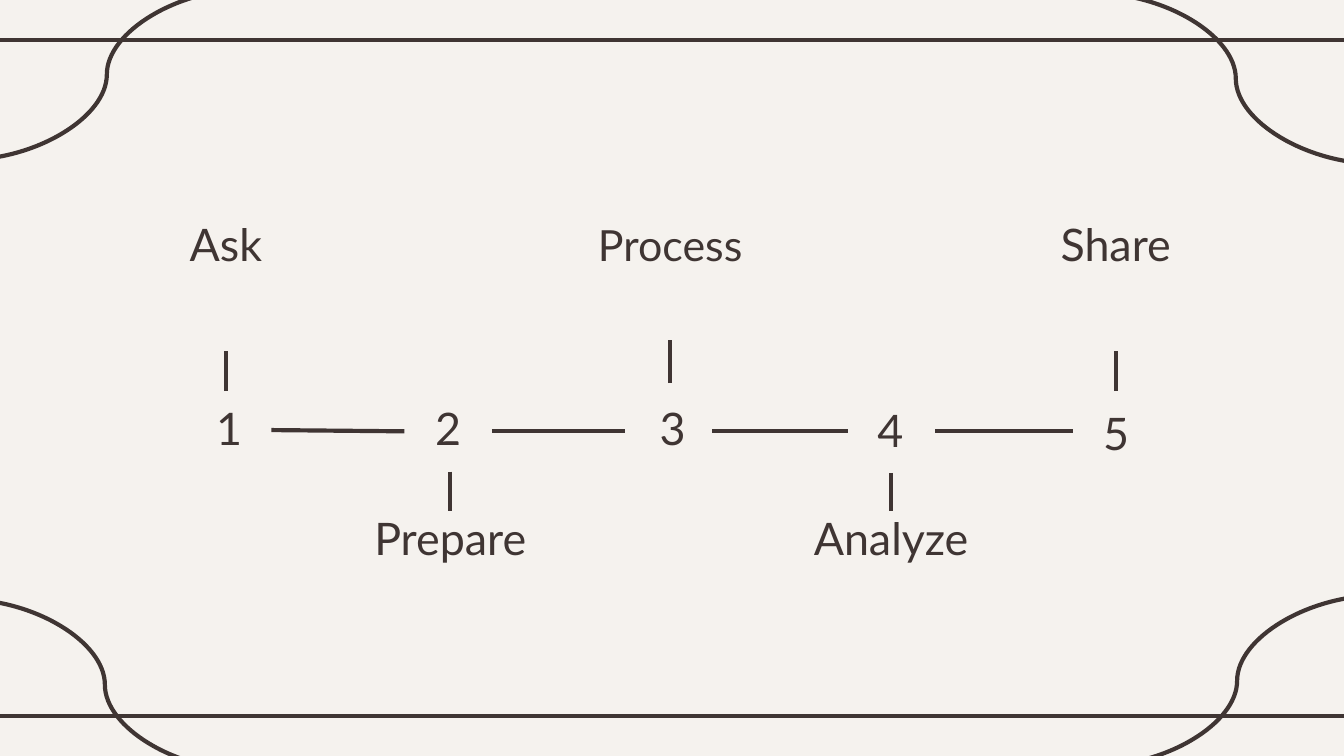
from lxml import etree
from pptx import Presentation
from pptx.dml.color import RGBColor
from pptx.enum.shapes import MSO_CONNECTOR
from pptx.enum.text import MSO_ANCHOR, PP_ALIGN
from pptx.oxml.ns import qn
from pptx.util import Pt

LINE, CURVE = MSO_CONNECTOR.STRAIGHT, MSO_CONNECTOR.CURVE
TOP, MIDDLE = MSO_ANCHOR.TOP, MSO_ANCHOR.MIDDLE
CENTER = PP_ALIGN.CENTER

COLORS = {"paper": "F5F2EE", "ink": "3F3533"}
FONT = "Lato"
WIDE, HIGH = 720, 405

RULES = [21.6, 383.8]
CURVES = [
    (-19.4, 321.1, 131.8, 412.6),
    (586.1, -3.6, 738, 87.8),
    (738.7, 319, 586.8, 410.4),
    (133.2, -5.8, -18.7, 85.7),
]
# number, its centre and top, tick x, start and end, label, box top, width, height, size, anchor
STEPS = [
    ("1", 122.8, 220.3, 121, 209.5, 187.9, "Ask", 115.9, 129, 23, 24, TOP),
    ("2", 240.1, 220.3, 241.2, 252.7, 273.6, "Prepare", 273.6, 127.4, 25.2, 24, TOP),
    ("3", 360.4, 220.3, 359.1, 205.2, 182.2, "Process", 117.4, 120.2, 27.4, 23, MIDDLE),
    ("4", 477, 221, 477.4, 253.4, 273.6, "Analyze", 273.6, 126.7, 25.2, 24, TOP),
    ("5", 597.9, 222.5, 597.7, 209.5, 187.9, "Share", 115.9, 129, 23, 24, TOP),
]
LINKS = [
    (145.4, 230.4, 216.7, 231.1),
    (263.5, 231.1, 334.8, 231.1),
    (381.6, 231.1, 454.3, 231.1),
    (501.1, 231.1, 574.6, 231.1),
]


def ink(name):
    return RGBColor.from_string(COLORS[name])


def add_line(slide, ends, kind=LINE):
    line = slide.shapes.add_connector(kind, *[Pt(v) for v in ends])
    line.line.color.rgb = ink("ink")
    line.line.width = Pt(2.25)
    etree.SubElement(line._element.spPr, qn("a:effectLst"))


def add_text(slide, text, mid, top, wide, high, size=24, anchor=MIDDLE, inset=0):
    box = slide.shapes.add_textbox(Pt(mid - wide / 2), Pt(top), Pt(wide), Pt(high))
    frame = box.text_frame
    frame.word_wrap = True
    frame.vertical_anchor = anchor
    frame.margin_left = frame.margin_right = Pt(inset)
    frame.margin_top = frame.margin_bottom = Pt(inset)
    frame.text = text
    para = frame.paragraphs[0]
    para.alignment = CENTER
    font = para.runs[0].font
    font.name, font.size = FONT, Pt(size)
    font.color.rgb = ink("ink")


def add_frame(slide):
    for y in RULES:
        add_line(slide, (-5.8, y, WIDE + 5.8, y))
    for ends in CURVES:
        add_line(slide, ends, CURVE)


def add_step(slide, num, mid, top, x, start, end, label, *place):
    add_line(slide, (x, start, x, end))
    add_text(slide, label, x, *place)
    add_text(slide, num, mid, top, 55.4, 18, inset=7.2)


def main():
    deck = Presentation()
    deck.slide_width, deck.slide_height = Pt(WIDE), Pt(HIGH)
    slide = deck.slides.add_slide(deck.slide_layouts[6])
    fill = slide.background.fill
    fill.solid()
    fill.fore_color.rgb = ink("paper")
    add_frame(slide)
    for ends in LINKS:
        add_line(slide, ends)
    for step in STEPS:
        add_step(slide, *step)
    deck.save("out.pptx")


if __name__ == "__main__":
    main()
